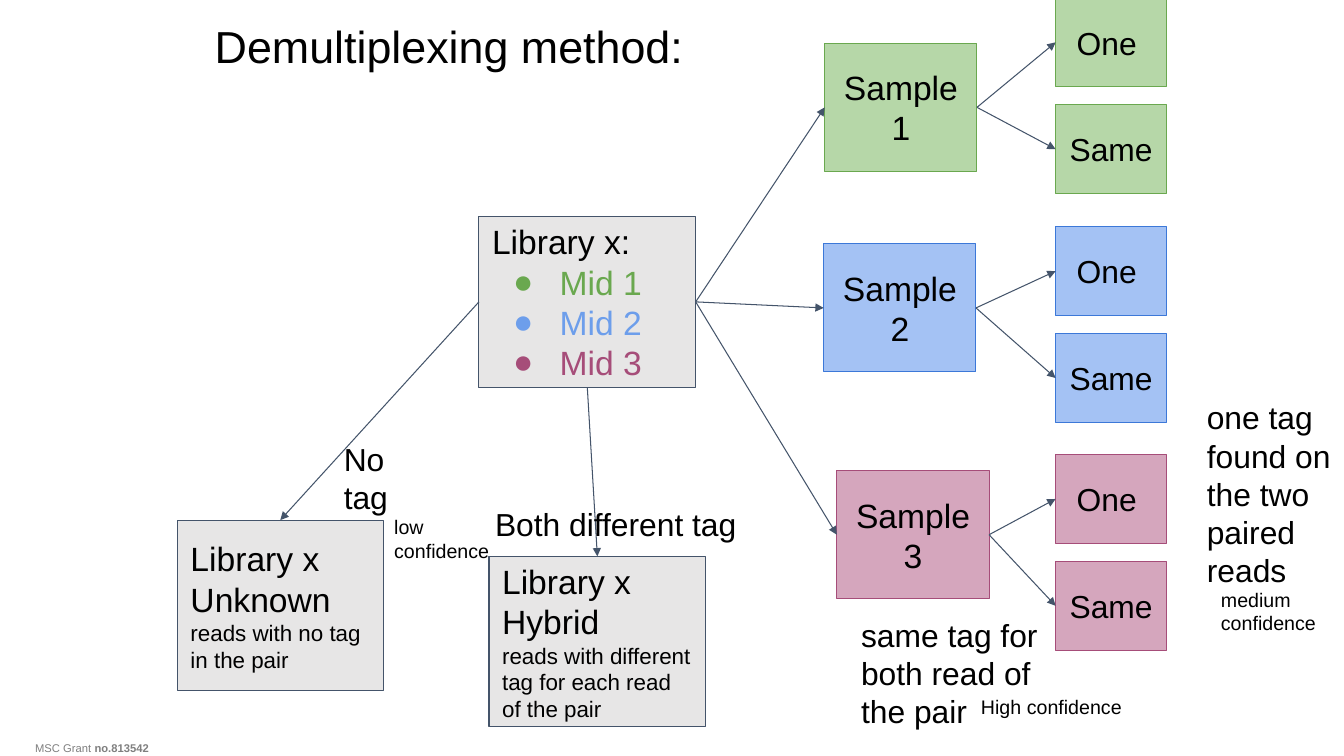
from dataclasses import dataclass

import pptx
import pptx.dml.color
import pptx.enum.shapes
import pptx.enum.text
import pptx.util
from lxml import etree
from pptx.oxml.ns import qn
from pptx.util import Inches


@dataclass(frozen=True)
class Theme:
    """Colours, type sizes and measures of the slide."""
    font: str = "Arial"
    ink: str = "000000"
    muted: str = "7F7F7F"
    edge: str = "44546A"
    grey: str = "E7E6E6"
    mids: tuple = ("6AA84F", "6D9EEB", "A64D79")
    sample_fills: tuple = ("B6D7A8", "A4C2F4", "D5A6BD")
    sample_edges: tuple = ("6AA84F", "3C78D8", "A64D79")
    title: float = 32
    heading: float = 24
    label: float = 22.7
    detail: float = 16
    note: float = 14
    footer: float = 8
    line: float = 0.75
    inset: float = 0.13


THEME = Theme()
TOP, LEFT, BOTTOM, RIGHT = range(4)


def rgb(code):
    """Turn a hex code into a colour."""
    return pptx.dml.color.RGBColor.from_string(code)


def add_run(paragraph, wording, size, color=THEME.ink, bold=False):
    """Append one styled run to a paragraph."""
    run = paragraph.add_run()
    run.text = wording
    run.font.name = THEME.font
    run.font.size = pptx.util.Pt(size)
    run.font.bold = bold
    run.font.color.rgb = rgb(color)


def set_frame(frame, inset_x=THEME.inset, inset_y=THEME.inset):
    """Wrap a text frame and set its insets."""
    frame.word_wrap = True
    frame.margin_left = frame.margin_right = Inches(inset_x)
    frame.margin_top = frame.margin_bottom = Inches(inset_y)
    return frame


def add_label(slide, box, wording, size):
    """Place a plain text label and return its paragraph."""
    label = slide.shapes.add_textbox(*map(Inches, box))
    paragraph = set_frame(label.text_frame).paragraphs[0]
    add_run(paragraph, wording, size)
    return paragraph


def add_node(slide, box, fill, edge):
    """Place an outlined rectangle with middle-anchored text."""
    node = slide.shapes.add_shape(
        pptx.enum.shapes.MSO_SHAPE.RECTANGLE, *map(Inches, box))
    node.shadow.inherit = False
    node.fill.solid()
    node.fill.fore_color.rgb = rgb(fill)
    node.line.color.rgb = rgb(edge)
    node.line.width = pptx.util.Pt(THEME.line)
    frame = set_frame(node.text_frame)
    frame.vertical_anchor = pptx.enum.text.MSO_ANCHOR.MIDDLE
    frame.paragraphs[0].alignment = pptx.enum.text.PP_ALIGN.LEFT
    return node


def add_arrow(slide, start, start_side, end, end_side):
    """Join two nodes with an arrow."""
    arrow = slide.shapes.add_connector(
        pptx.enum.shapes.MSO_CONNECTOR.STRAIGHT, 0, 0, 0, 0)
    arrow.begin_connect(start, start_side)
    arrow.end_connect(end, end_side)
    arrow.line.color.rgb = rgb(THEME.edge)
    arrow.line.width = pptx.util.Pt(THEME.line)
    etree.SubElement(arrow.line._get_or_add_ln(), qn("a:tailEnd"), type="triangle")
    etree.SubElement(arrow._element.spPr, qn("a:effectLst"))


def add_library(slide, box):
    """Build the library node with its bulleted mids."""
    library = add_node(slide, box, THEME.grey, THEME.edge)
    frame = library.text_frame
    add_run(frame.paragraphs[0], "Library x:", THEME.heading)
    for number, color in enumerate(THEME.mids, 1):
        mid = frame.add_paragraph()
        mid.alignment = pptx.enum.text.PP_ALIGN.LEFT
        properties = mid._p.get_or_add_pPr()
        properties.set("marL", str(Inches(0.67)))
        properties.set("indent", str(Inches(-0.46)))
        bullet_color = etree.SubElement(properties, qn("a:buClr"))
        etree.SubElement(bullet_color, qn("a:srgbClr"), val=color)
        etree.SubElement(properties, qn("a:buFont"), typeface=THEME.font)
        etree.SubElement(properties, qn("a:buChar"), char="●")
        add_run(mid, f"Mid {number}", THEME.heading, color)
    return library


def add_reject(slide, box, name, detail):
    """Build a node for reads that match no sample."""
    reject = add_node(slide, box, THEME.grey, THEME.edge)
    add_run(reject.text_frame.paragraphs[0], name, THEME.heading)
    description = reject.text_frame.add_paragraph()
    description.alignment = pptx.enum.text.PP_ALIGN.LEFT
    add_run(description, detail, THEME.detail)
    return reject


def add_centred_node(slide, box, wording, size, colors):
    """Build a coloured node with one centred line."""
    node = add_node(slide, box, *colors)
    paragraph = node.text_frame.paragraphs[0]
    paragraph.alignment = pptx.enum.text.PP_ALIGN.CENTER
    add_run(paragraph, wording, size)
    return node


def add_sample(slide, library, box, number, outcomes_at):
    """Build a sample with its two outcomes and their arrows."""
    colors = THEME.sample_fills[number - 1], THEME.sample_edges[number - 1]
    sample = add_centred_node(slide, box, f"Sample {number}", THEME.heading, colors)
    add_arrow(slide, library, RIGHT, sample, LEFT)
    left, top = outcomes_at
    for row, wording in enumerate(("One ", "Same")):
        outcome_box = left, top + row * 1.06, 1.1, 0.88
        outcome = add_centred_node(slide, outcome_box, wording, THEME.label, colors)
        add_arrow(slide, sample, RIGHT, outcome, LEFT)


def add_footer(slide, box):
    """Place the grant line."""
    grant = slide.shapes.add_textbox(*map(Inches, box))
    paragraph = set_frame(grant.text_frame, 0.1, 0.05).paragraphs[0]
    add_run(paragraph, "MSC Grant ", THEME.footer, THEME.muted)
    add_run(paragraph, "no.813542", THEME.footer, THEME.muted, bold=True)


def add_demultiplexing(slide):
    """Lay out the whole demultiplexing diagram."""
    add_footer(slide, (0.25, 7.31, 1.37, 0.24))
    title = add_label(slide, (2, 0.2, 5.57, 0.84), "Demultiplexing method:", THEME.title)
    title.line_spacing = 0.7

    library = add_library(slide, (4.75, 2.15, 2.15, 1.69))
    unknown = add_reject(slide, (1.76, 5.16, 2.04, 1.69),
                         "Library x Unknown", "reads with no tag in the pair")
    hybrid = add_reject(slide, (4.85, 5.52, 2.15, 1.69), "Library x Hybrid",
                        "reads with different tag for each read of the pair")
    add_arrow(slide, library, LEFT, unknown, TOP)
    add_arrow(slide, library, BOTTOM, hybrid, TOP)

    samples = ((8.18, 0.43, -0.02), (8.17, 2.42, 2.25), (8.3, 4.67, 4.51))
    for number, (left, top, outcome_top) in enumerate(samples, 1):
        add_sample(slide, library, (left, top, 1.51, 1.27), number, (10.47, outcome_top))

    for box, wording, size in (
        ((3.28, 4.23, 1.1, 1.03), "No tag", THEME.label),
        ((4.78, 4.88, 2.91, 0.65), "Both different tag", THEME.label),
        ((8.41, 5.98, 2.15, 1.43), "same tag for both read of the pair", THEME.label),
        ((11.84, 3.82, 1.57, 2.21), "one tag found on the two paired reads", THEME.label),
        ((9.6, 6.78, 1.74, 0.5), "High confidence", THEME.note),
        ((11.98, 5.7, 1.74, 0.74), "medium confidence", THEME.note),
        ((3.78, 4.98, 1.26, 0.74), "low confidence", THEME.note),
    ):
        add_label(slide, box, wording, size)


def main():
    """Build and save the presentation."""
    deck = pptx.Presentation()
    deck.slide_width, deck.slide_height = Inches(13.33), Inches(7.5)
    add_demultiplexing(deck.slides.add_slide(deck.slide_layouts[6]))
    deck.save("out.pptx")


if __name__ == "__main__":
    main()
